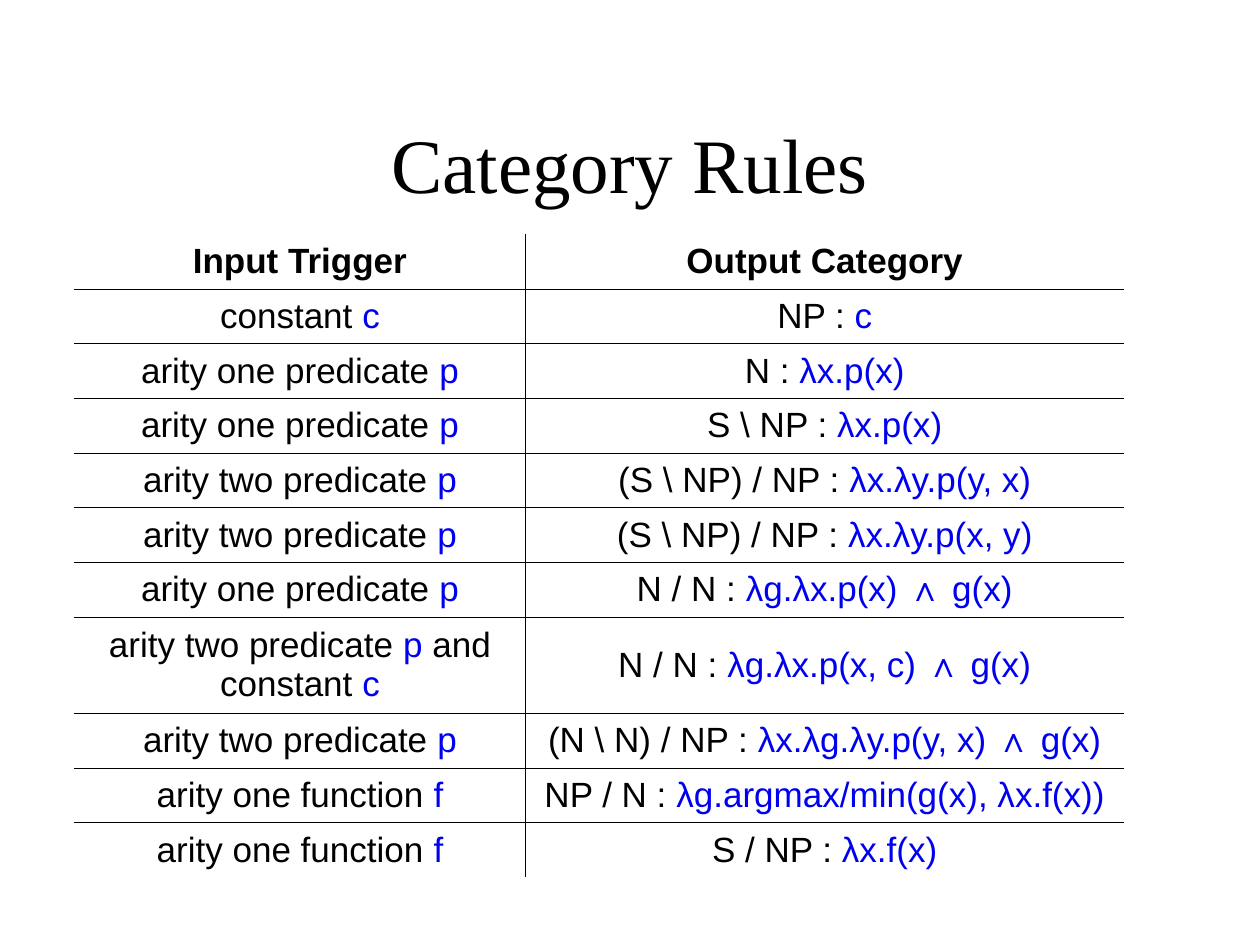
from lxml import etree
from pptx import Presentation
from pptx.dml.color import RGBColor
from pptx.enum.text import MSO_ANCHOR, PP_ALIGN
from pptx.oxml.ns import qn
from pptx.util import Pt

CENTER = PP_ALIGN.CENTER
MIDDLE = MSO_ANCHOR.MIDDLE
BLACK, BLUE = "000000", "0000F0"


def add_run(p, text, font="Arial", size=20, color=BLACK, bold=False):
    r = p.add_run()
    r.text = text
    r.font.name = font
    r.font.size = Pt(size)
    r.font.bold = bold
    r.font.color.rgb = RGBColor.from_string(color)


def add_border(cell, side, visible):
    ln = etree.SubElement(cell._tc.get_or_add_tcPr(), qn("a:ln" + side))
    if visible:
        ln.set("w", str(Pt(0.45)))
        fill = etree.SubElement(ln, qn("a:solidFill"))
        etree.SubElement(fill, qn("a:srgbClr"), val=BLACK)
    else:
        etree.SubElement(ln, qn("a:noFill"))


prs = Presentation()
prs.slide_width, prs.slide_height = Pt(720), Pt(540)
s = prs.slides.add_slide(prs.slide_layouts[5])

title = s.shapes.title
title.left, title.top, title.width, title.height = Pt(54), Pt(48), Pt(612), Pt(90)
title.text_frame.vertical_anchor = MIDDLE
p = title.text_frame.paragraphs[0]
p.alignment = CENTER
add_run(p, "Category Rules", font="Times New Roman", size=44)

# Parts after each "|" alternate between black and blue.
rules = [
    ("Input Trigger", "Output Category"),
    ("constant |c", "NP : |c"),
    ("arity one predicate |p", "N : |λx.p(x)"),
    ("arity one predicate |p", "S \\ NP : |λx.p(x)"),
    ("arity two predicate |p", "(S \\ NP) / NP : |λx.λy.p(y, x)"),
    ("arity two predicate |p", "(S \\ NP) / NP : |λx.λy.p(x, y)"),
    ("arity one predicate |p", "N / N : |λg.λx.p(x) ∧ g(x)"),
    ("arity two predicate |p| and constant |c", "N / N : |λg.λx.p(x, c) ∧ g(x)"),
    ("arity two predicate |p", "(N \\ N) / NP : |λx.λg.λy.p(y, x) ∧ g(x)"),
    ("arity one function |f", "NP / N : |λg.argmax/min(g(x), λx.f(x))"),
    ("arity one function |f", "S / NP : |λx.f(x)"),
]
TALL_ROW = 7
last = len(rules) - 1

frame = s.shapes.add_table(len(rules), 2, Pt(42.4), Pt(133.9), Pt(599.8), Pt(367.5))
table = frame.table
table.first_row = False
table.horz_banding = False
for column, width in zip(table.columns, (258, 341.8)):
    column.width = Pt(width)

for i, rule in enumerate(rules):
    table.rows[i].height = Pt(55 if i == TALL_ROW else 31.25)
    for j, text in enumerate(rule):
        cell = table.cell(i, j)
        cell.vertical_anchor = MIDDLE
        for side, visible in (("L", j == 1), ("R", j == 0), ("T", i > 0), ("B", i < last)):
            add_border(cell, side, visible)
        cell.fill.background()
        p = cell.text_frame.paragraphs[0]
        p.alignment = CENTER
        for k, part in enumerate(text.split("|")):
            add_run(p, part, color=BLUE if k % 2 else BLACK, bold=i == 0)

prs.save("out.pptx")
